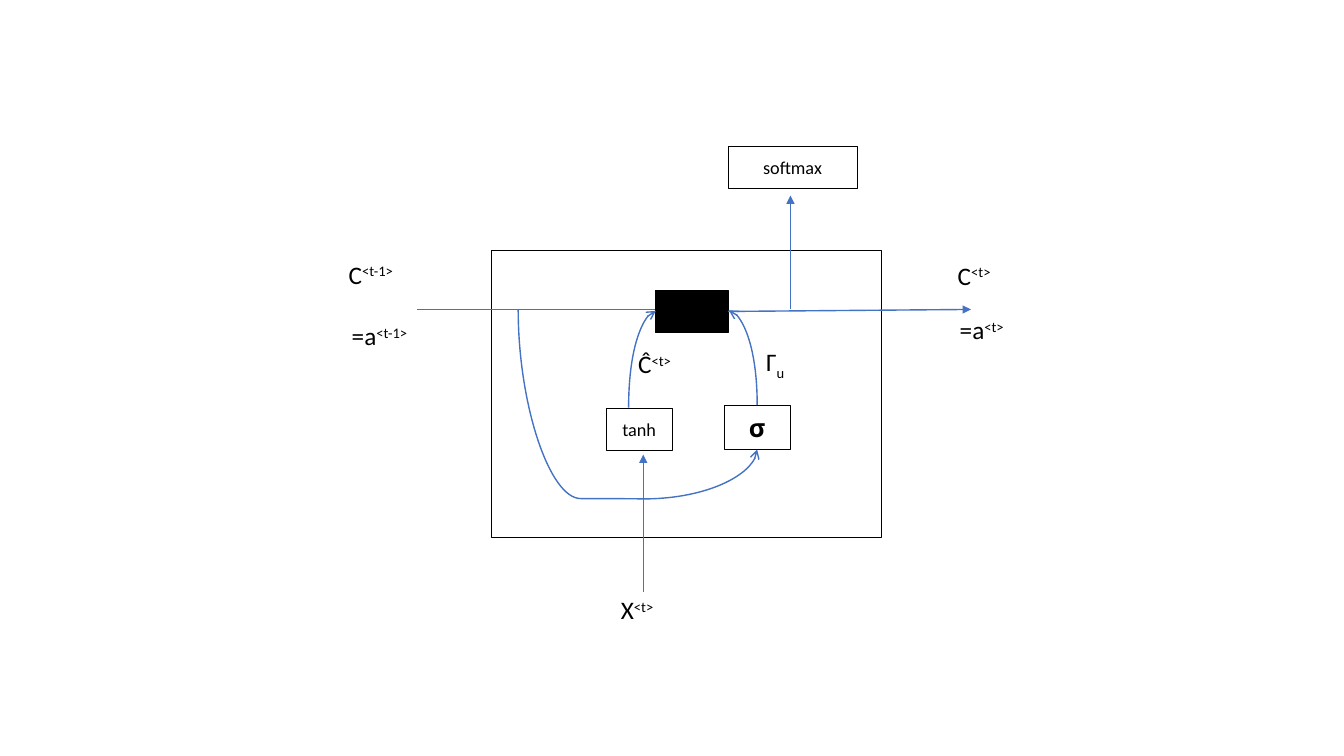
from dataclasses import dataclass

import pptx
import pptx.dml.color
import pptx.enum.shapes
import pptx.enum.text
import pptx.oxml.ns
import pptx.util
from lxml import etree

PX = 9144  # EMU per px, 100 px to the inch
COLORS = {"ink": "000000", "flow": "4472C4"}
CONNECTOR = pptx.enum.shapes.MSO_CONNECTOR
ANCHOR = pptx.enum.text.MSO_ANCHOR
ALIGN = pptx.enum.text.PP_ALIGN


@dataclass
class Box:
    x: int
    y: int
    w: int
    h: int
    text: str = ""
    size: int = 13
    font: str = "Calibri"
    bold: bool = False
    filled: bool = False


@dataclass
class Label:
    x: int
    y: int
    w: int
    text: str
    script: str
    baseline: int = 30


@dataclass
class Line:
    x1: int
    y1: int
    x2: int
    y2: int
    head: str = "triangle"


@dataclass
class Curve:
    """Frame before rotation, with the turn and flips that place it."""
    x: int
    y: int
    w: int
    h: int
    rot: int = 0
    flips: str = ""
    preset: str = "curvedConnector2"
    head: str = "arrow"
    adjust: int = 0


GATE = Box(650, 288, 72, 42, filled=True)
BOXES = [
    Box(487, 248, 387, 285),
    Box(601, 405, 66, 42, "tanh"),
    Box(718, 402, 66, 44, "σ", size=18, font="Open Sans", bold=True),
    Box(722, 145, 128, 42, "softmax"),
]
OUTPUT = Line(722, 309, 963, 307)
LINES = [
    Line(414, 307, 650, 307, head=""),
    Line(784, 307, 784, 194),
    Line(638, 587, 638, 451),
]
CURVES = [
    Curve(638, 446, 113, 49, flips="V"),
    Curve(690, 341, 94, 28, rot=270, flips="V"),
    Curve(589, 343, 96, 27, rot=90, flips="HV"),
    Curve(482, 339, 188, 124, rot=270, flips="H",
          preset="curvedConnector3", head="", adjust=99800),
]
LABELS = [
    Label(623, 341, 68, "Ĉ", "<t>"),
    Label(750, 339, 48, "Γ", "u", baseline=-25),
    Label(606, 585, 67, "X", "<t>"),
    Label(336, 252, 84, "C", "<t-1>"),
    Label(339, 313, 98, "=a", "<t-1>"),
    Label(940, 253, 68, "C", "<t>"),
    Label(942, 307, 82, "=a", "<t>"),
]


def rgb(name: str) -> pptx.dml.color.RGBColor:
    return pptx.dml.color.RGBColor.from_string(COLORS[name])


def emu(*lengths: int) -> list[int]:
    return [n * PX for n in lengths]


def add_run(p, text: str, *, size: int = 18, font: str = "Calibri",
            bold: bool = False, baseline: int = 0) -> None:
    r = p.add_run()
    r.text = text
    r.font.size = pptx.util.Pt(size)
    r.font.name = font
    r.font.bold = bold
    r.font.color.rgb = rgb("ink")
    if baseline:
        r.font._element.set("baseline", str(baseline * 1000))


def add_box(shapes, box: Box):
    sp = shapes.add_shape(pptx.enum.shapes.MSO_SHAPE.RECTANGLE,
                          *emu(box.x, box.y, box.w, box.h))
    sp.shadow.inherit = False
    if box.filled:
        sp.fill.solid()
        sp.fill.fore_color.rgb = rgb("ink")
    else:
        sp.fill.background()
    sp.line.color.rgb = rgb("ink")
    sp.line.width = pptx.util.Pt(0.5)
    if box.text:
        tf = sp.text_frame
        tf.vertical_anchor = ANCHOR.MIDDLE
        p = tf.paragraphs[0]
        p.alignment = ALIGN.CENTER
        add_run(p, box.text, size=box.size, font=box.font, bold=box.bold)
    return sp


def add_label(shapes, label: Label) -> None:
    tf = shapes.add_textbox(*emu(label.x, label.y, label.w, 49)).text_frame
    tf.word_wrap = False
    tf.auto_size = pptx.enum.text.MSO_AUTO_SIZE.SHAPE_TO_FIT_TEXT
    p = tf.paragraphs[0]
    add_run(p, label.text)
    add_run(p, label.script, baseline=label.baseline)


def style_connector(cxn, head: str) -> None:
    cxn.line.color.rgb = rgb("flow")
    cxn.line.width = pptx.util.Pt(1)
    if head:
        etree.SubElement(cxn.line._get_or_add_ln(),
                         pptx.oxml.ns.qn("a:tailEnd"), type=head)
    etree.SubElement(cxn._element.spPr, pptx.oxml.ns.qn("a:effectLst"))


def add_line(shapes, line: Line):
    cxn = shapes.add_connector(CONNECTOR.STRAIGHT,
                               *emu(line.x1, line.y1, line.x2, line.y2))
    style_connector(cxn, line.head)
    return cxn


def add_curve(shapes, curve: Curve) -> None:
    cxn = shapes.add_connector(CONNECTOR.CURVE, *emu(
        curve.x, curve.y, curve.x + curve.w, curve.y + curve.h))
    style_connector(cxn, curve.head)
    xfrm = cxn._element.spPr.find(pptx.oxml.ns.qn("a:xfrm"))
    xfrm.set("rot", str(curve.rot * 60000))
    for axis in curve.flips:
        xfrm.set(f"flip{axis}", "1")
    geom = cxn._element.spPr.find(pptx.oxml.ns.qn("a:prstGeom"))
    geom.set("prst", curve.preset)
    if curve.adjust:
        guides = geom.find(pptx.oxml.ns.qn("a:avLst"))
        etree.SubElement(guides, pptx.oxml.ns.qn("a:gd"),
                         name="adj1", fmla=f"val {curve.adjust}")


def main() -> None:
    prs = pptx.Presentation()
    prs.slide_width, prs.slide_height = emu(1333, 750)
    s = prs.slides.add_slide(prs.slide_layouts[6])
    shapes = s.shapes.add_group_shape().shapes
    for box in BOXES:
        add_box(shapes, box)
    gate = add_box(shapes, GATE)
    for line in LINES:
        add_line(shapes, line)
    add_line(shapes, OUTPUT).begin_connect(gate, 3)
    for curve in CURVES:
        add_curve(shapes, curve)
    for label in LABELS:
        add_label(shapes, label)
    prs.save("out.pptx")


if __name__ == "__main__":
    main()
